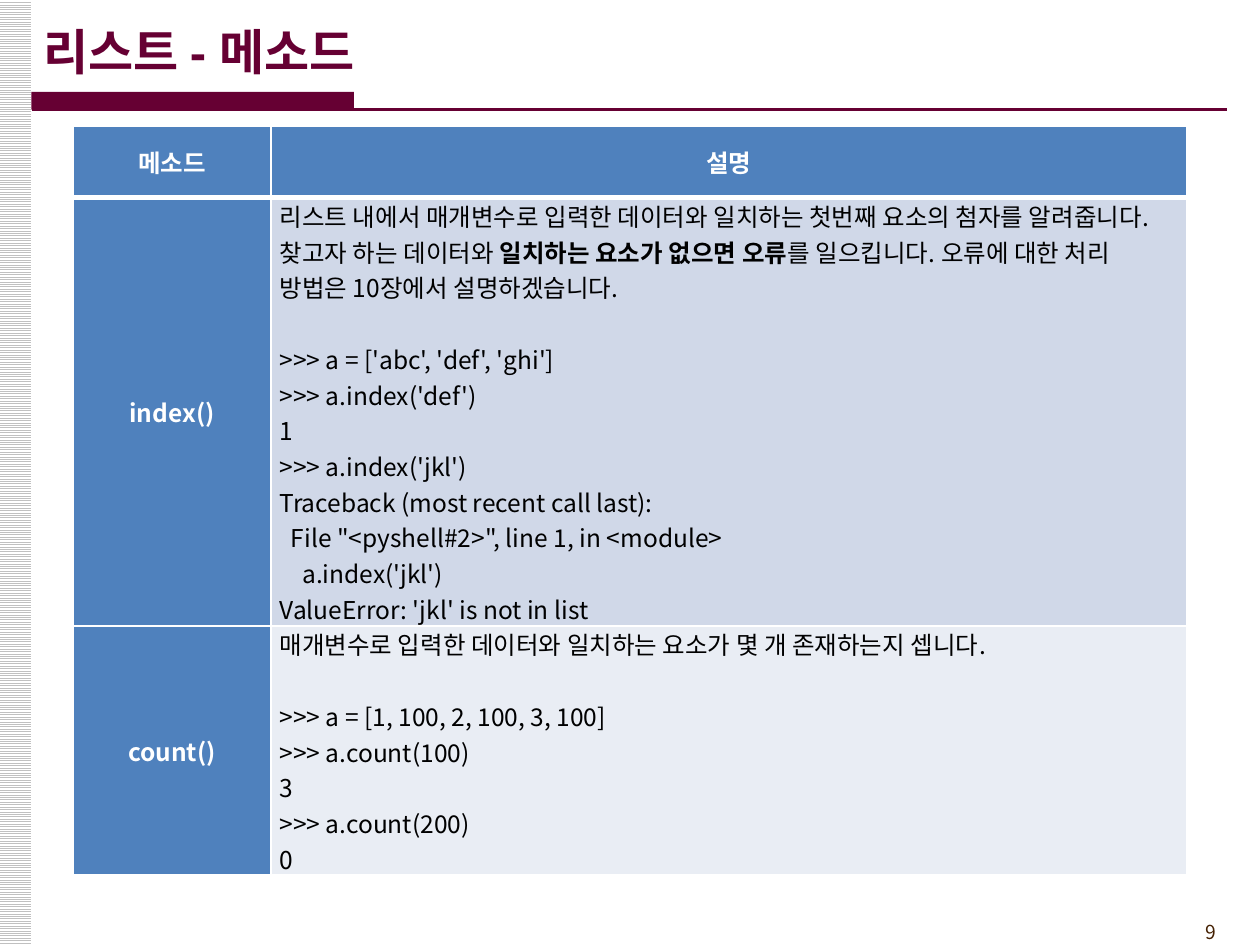
import pptx
import pptx.dml.color
import pptx.enum.dml
import pptx.enum.shapes
import pptx.enum.text
import pptx.oxml
import pptx.oxml.ns
import pptx.util
from pptx.dml.color import RGBColor
from pptx.util import Inches, Pt

MAROON = RGBColor(0x66, 0x00, 0x33)
BROWN = RGBColor(0x45, 0x21, 0x03)
BLUE = RGBColor(0x4F, 0x81, 0xBD)
BAND_DARK = RGBColor(0xD0, 0xD8, 0xE8)
BAND_LIGHT = RGBColor(0xE9, 0xED, 0xF4)
SILVER = RGBColor(0xC0, 0xC0, 0xC0)
WHITE = RGBColor(0xFF, 0xFF, 0xFF)
BLACK = RGBColor(0x00, 0x00, 0x00)

KOREAN = "Noto Sans CJK KR"
MIDDLE = pptx.enum.text.MSO_ANCHOR.MIDDLE
CENTER = pptx.enum.text.PP_ALIGN.CENTER
LEFT = pptx.enum.text.PP_ALIGN.LEFT
RIGHT = pptx.enum.text.PP_ALIGN.RIGHT
CODE_INDENT = 0.09

INDEX_INTRO = [
    ("리스트 내에서 매개변수로 입력한 데이터와 일치하는 첫번째 요소의 첨자를 알려줍니다. 찾고자 하는 데이터와 ", False),
    ("일치하는 요소가 없으면 오류", True),
    ("를 일으킵니다. 오류에 대한 처리 방법은 10장에서 설명하겠습니다.", False),
]
INDEX_CODE = [
    (">>> a = ['abc', 'def', 'ghi']", 0),
    (">>> a.index('def')", 0),
    ("1", 0),
    (">>> a.index('jkl')", 0),
    ("Traceback (most recent call last):", 0),
    ('File "<pyshell#2>", line 1, in <module>', 1),
    ("a.index('jkl')", 2),
    ("ValueError: 'jkl' is not in list", 0),
]
COUNT_INTRO = [("매개변수로 입력한 데이터와 일치하는 요소가 몇 개 존재하는지 셉니다.", False)]
COUNT_CODE = [
    (">>> a = [1, 100, 2, 100, 3, 100]", 0),
    (">>> a.count(100)", 0),
    ("3", 0),
    (">>> a.count(200)", 0),
    ("0", 0),
]


def write_paragraph(p, runs, size, color, align=LEFT, latin=KOREAN):
    """Fill a paragraph with (text, bold) runs in one font, size and colour."""
    p.alignment = align
    for text, bold in runs:
        r = p.add_run()
        r.text = text
        r.font.bold = bold
        ea = pptx.oxml.parse_xml(
            f'<a:ea {pptx.oxml.ns.nsdecls("a")} typeface="{KOREAN}"/>')
        r.font._element.append(ea)
    p.font.size = Pt(size)
    p.font.name = latin
    p.font.color.rgb = color
    for r in p.runs:
        r.font.size = Pt(size)
        r.font.name = latin
        r.font.color.rgb = color


def add_label(s, box, text, size, color, bold, align, latin):
    """Add a one-line text box."""
    sp = s.shapes.add_textbox(*map(Inches, box))
    tf = sp.text_frame
    tf.word_wrap = True
    tf.vertical_anchor = MIDDLE
    write_paragraph(tf.paragraphs[0], [(text, bold)], size, color, align, latin)


def add_bar(s, box):
    """Add a rectangle without outline or shadow and return it."""
    sp = s.shapes.add_shape(pptx.enum.shapes.MSO_SHAPE.RECTANGLE, *map(Inches, box))
    sp.shadow.inherit = False
    sp.line.fill.background()
    return sp


def add_rule(s, x1, x2, y):
    """Add the thin horizontal line under the title."""
    line = s.shapes.add_connector(
        pptx.enum.shapes.MSO_CONNECTOR.STRAIGHT,
        Inches(x1), Inches(y), Inches(x2), Inches(y))
    line.line.color.rgb = MAROON
    line.line.width = Pt(1.5)
    line._element.spPr.append(
        pptx.oxml.parse_xml(f'<a:effectLst {pptx.oxml.ns.nsdecls("a")}/>'))


def style_cell(cell, fill, top, bottom):
    """Set borders, fill, insets and anchor of a table cell."""
    tc_pr = cell._tc.get_or_add_tcPr()
    for side, width in (("L", 1), ("R", 1), ("T", top), ("B", bottom)):
        tc_pr.append(pptx.oxml.parse_xml(
            f'<a:ln{side} {pptx.oxml.ns.nsdecls("a")} w="{Pt(width)}">'
            f'<a:solidFill><a:srgbClr val="{WHITE}"/></a:solidFill></a:ln{side}>'))
    cell.fill.solid()
    cell.fill.fore_color.rgb = fill
    cell.margin_left = cell.margin_right = Inches(0.07)
    cell.margin_top = cell.margin_bottom = 0
    cell.vertical_anchor = MIDDLE


def write_heading(cell, text):
    """Write a centred white heading into a cell."""
    write_paragraph(cell.text_frame.paragraphs[0], [(text, True)], 14, WHITE, CENTER)


def write_description(cell, intro, code):
    """Write an explanation followed by an interpreter session."""
    tf = cell.text_frame
    p = tf.paragraphs[0]
    write_paragraph(p, intro, 14, BLACK)
    p.space_after = Pt(20.5)
    for text, level in code:
        p = tf.add_paragraph()
        write_paragraph(p, [(text, False)], 14, BLACK)
        if level:
            p._p.get_or_add_pPr().set("marL", str(Inches(CODE_INDENT * level)))


def add_method_table(s):
    """Add the table of list methods."""
    widths, heights = (1.57, 7.27), (0.57, 3.4, 1.97)
    table = s.shapes.add_table(
        3, 2, Inches(0.58), Inches(1), Inches(sum(widths)), Inches(sum(heights))).table
    for column, width in zip(table.columns, widths):
        column.width = Inches(width)
    for row, height in zip(table.rows, heights):
        row.height = Inches(height)

    edges = (1, 3, 1, 1)
    for i, band in enumerate((BLUE, BAND_DARK, BAND_LIGHT)):
        for j, fill in enumerate((BLUE, band)):
            style_cell(table.cell(i, j), fill, edges[i], edges[i + 1])

    for i, text in enumerate(("메소드", "index()", "count()")):
        write_heading(table.cell(i, 0), text)
    write_heading(table.cell(0, 1), "설명")
    write_description(table.cell(1, 1), INDEX_INTRO, INDEX_CODE)
    write_description(table.cell(2, 1), COUNT_INTRO, COUNT_CODE)


def main():
    """Build the slide and save it."""
    prs = pptx.Presentation()
    prs.slide_width, prs.slide_height = Inches(10), Inches(7.5)
    s = prs.slides.add_slide(prs.slide_layouts[6])

    stripes = add_bar(s, (-0.01, 0, 0.26, 7.5))
    stripes.fill.patterned()
    stripes.fill.pattern = pptx.enum.dml.MSO_PATTERN.LIGHT_HORIZONTAL
    stripes.fill.fore_color.rgb = SILVER
    stripes.fill.back_color.rgb = WHITE

    add_label(s, (8.92, 7.25, 0.83, 0.29), "9", 11, BROWN, False, RIGHT, KOREAN)
    accent = add_bar(s, (0.25, 0.73, 2.56, 0.14))
    accent.fill.solid()
    accent.fill.fore_color.rgb = MAROON
    add_rule(s, 0.25, 9.74, 0.87)
    add_label(s, (0.25, 0.09, 8.27, 0.63), "리스트 - 메소드", 28, MAROON, True, LEFT, "Arial")
    add_method_table(s)
    prs.save("out.pptx")


if __name__ == "__main__":
    main()
